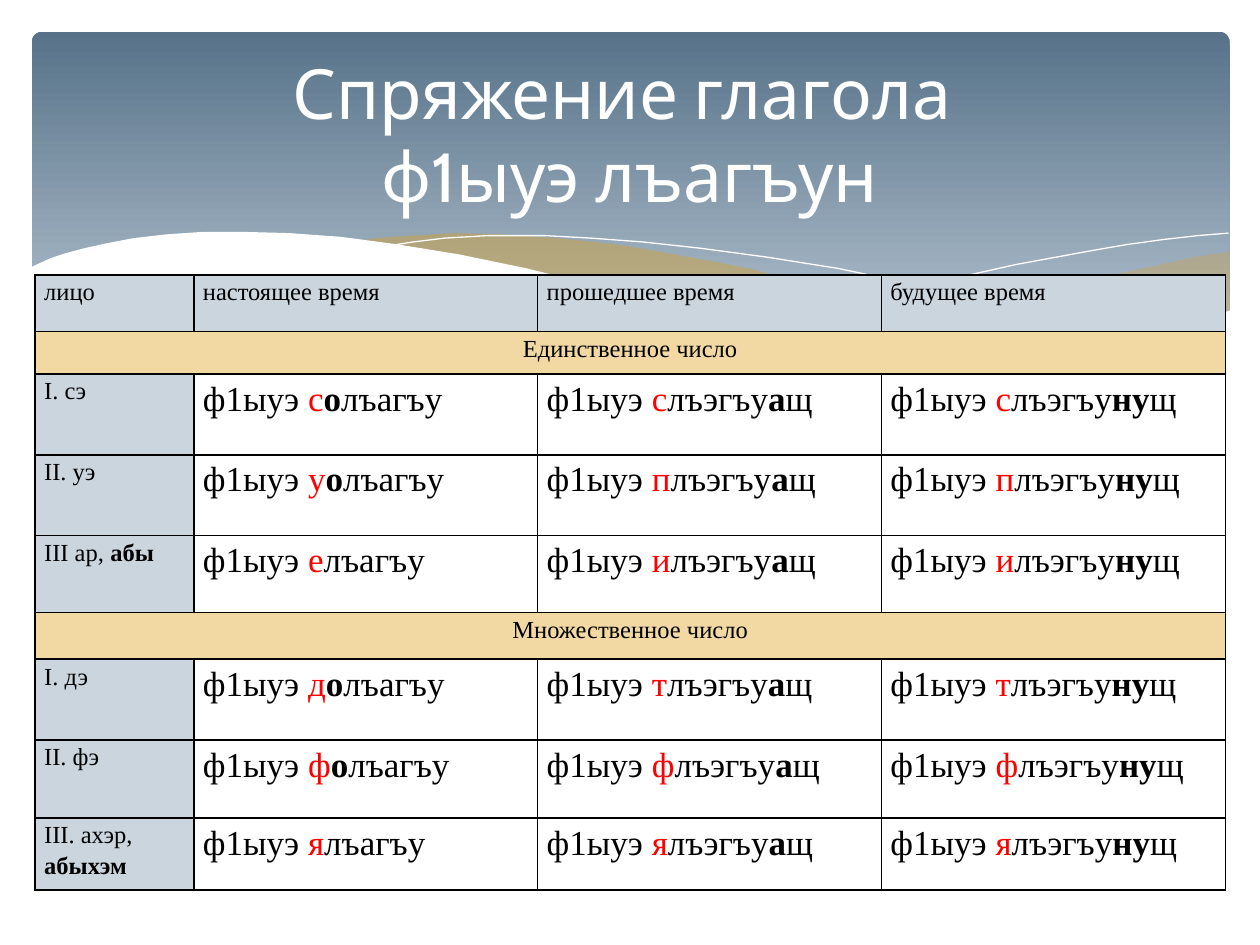
"""Builds a slide with the conjugation table of a Kabardian verb."""
from lxml import etree
from pptx import Presentation, util as u
from pptx.dml.color import RGBColor
from pptx.enum import shapes, text
from pptx.oxml.ns import qn

BLACK = RGBColor(0, 0, 0)
WHITE = RGBColor(255, 255, 255)
RED = RGBColor(255, 0, 0)
GOLD = RGBColor(0xDC, 0x9E, 0x1F)
SAND = RGBColor(0xF2, 0xD9, 0xA4)
MIST = RGBColor(0xCB, 0xD5, 0xDE)
DARK = RGBColor(0x57, 0x72, 0x89)
PALE = RGBColor(0xB2, 0xC1, 0xCE)

TITLE = "Спряжение глагола \vф1ыуэ лъагъун"
HEADS = ["лицо", "настоящее время", "прошедшее время", "будущее время"]
VERB = "ф1ыуэ "
GROUPS = [
    ("Единственное число", [
        ("I. сэ", "", "с", "о", "с"),
        ("II. уэ", "", "у", "о", "п"),
        ("III ар, ", "абы", "е", "", "и"),
    ]),
    ("Множественное число", [
        ("I. дэ", "", "д", "о", "т"),
        ("II. фэ", "", "ф", "о", "ф"),
        ("III. ахэр,\n", "абыхэм", "я", "", "я"),
    ]),
]
COLS = [3.2, 6.93, 6.93, 6.93]
ROWS = [1.14, 0.86, 1.63, 1.63, 1.55, 0.94, 1.63, 1.57, 1.45]

GRID = u.Cm(0.0254)
WAVES = [
    {"fill": GOLD, "alpha": 29, "pts": [
        (975, 200), (948, 204), (921, 210), (861, 223), (805, 237), (753, 248),
        (706, 257), (661, 265), (691, 269), (732, 274), (769, 277), (803, 278),
        (835, 277), (863, 275), (889, 272), (913, 267), (935, 262), (949, 257),
        (963, 252), (976, 247), (976, 200)]},
    {"fill": GOLD, "alpha": 40, "pts": [
        (893, 273), (866, 269), (807, 260), (741, 247), (668, 231), (629, 222),
        (598, 214), (569, 208), (541, 203), (514, 198), (489, 194), (442, 189),
        (399, 186), (361, 185), (328, 187), (299, 189), (286, 191), (323, 196),
        (362, 203), (404, 211), (449, 222), (530, 240), (601, 255), (665, 266),
        (722, 274), (773, 277), (818, 278), (857, 277), (893, 273)]},
    {"line": WHITE, "pts": [
        (309, 195), (328, 192), (353, 189), (387, 187), (433, 187), (469, 189),
        (510, 192), (556, 197), (608, 204), (665, 213), (727, 226), (795, 241),
        (869, 261), (907, 272)]},
    {"line": WHITE, "pts": [
        (613, 257), (653, 246), (695, 235), (748, 223), (806, 210), (866, 199),
        (895, 194), (924, 190), (951, 187), (975, 185)]},
    {"fill": WHITE, "pts": [
        (977, 246), (950, 256), (920, 265), (887, 271), (850, 275), (809, 277),
        (761, 275), (708, 270), (648, 262), (579, 250), (529, 239), (475, 227),
        (418, 213), (365, 202), (316, 194), (271, 188), (230, 185), (193, 184),
        (161, 184), (132, 186), (106, 189), (85, 193), (67, 197), (52, 201),
        (40, 205), (29, 210), (23, 213), (23, 329), (977, 329)]},
]


def put(item, **vals):
    for key, val in vals.items():
        setattr(item, key, val)


def paint(fill, tone=None):
    if tone is None:
        fill.background()
    else:
        fill.solid()
        fill.fore_color.rgb = tone


def banner(slide):
    box = slide.shapes.add_shape(shapes.MSO_SHAPE.ROUNDED_RECTANGLE,
                                 u.Cm(0.64), u.Cm(0.64), u.Cm(24.15), u.Cm(6.86))
    box.adjustments[0] = 0.03
    box.shadow.inherit = False
    box.line.fill.background()
    box.fill.gradient()
    box.fill.gradient_angle = 270
    for stop, tone, place in zip(box.fill.gradient_stops, (DARK, PALE), (0, 0.9)):
        stop.color.rgb = tone
        stop.position = place


def wave(slide, form):
    first, *rest = form["pts"]
    path = slide.shapes.build_freeform(*first, scale=GRID)
    path.add_line_segments(rest, close="fill" in form)
    shape = path.convert_to_shape()
    shape.shadow.inherit = False
    paint(shape.fill, form.get("fill"))
    paint(shape.line.fill, form.get("line"))
    if "line" in form:
        shape.line.width = 0
    if "alpha" in form:
        tone = shape.element.spPr.find(".//" + qn("a:srgbClr"))
        etree.SubElement(tone, qn("a:alpha"), val=str(form["alpha"] * 1000))


def border(cell):
    props = cell._tc.get_or_add_tcPr()
    for side in ("lnL", "lnR", "lnT", "lnB"):
        edge = etree.SubElement(props, qn("a:" + side), w=str(u.Pt(1)))
        fill = etree.SubElement(edge, qn("a:solidFill"))
        etree.SubElement(fill, qn("a:srgbClr"), val=str(BLACK))


def write(cell, runs, size=14, tone=None, align=text.PP_ALIGN.JUSTIFY):
    paint(cell.fill, tone)
    frame = cell.text_frame
    para = frame.paragraphs[0]
    put(para, alignment=align, line_spacing=1.15)
    for words, bold, ink in runs:
        if not words:
            continue
        run = para.add_run()
        run.text = words.rstrip("\n")
        put(run.font, name="Times New Roman", size=u.Pt(size), bold=bold)
        run.font.color.rgb = ink
        if words.endswith("\n"):
            para = frame.add_paragraph()
            put(para, alignment=align, line_spacing=1.15)


def forms(now, vowel, then):
    yield [(VERB, False, BLACK), (now, False, RED),
           (vowel, True, BLACK), ("лъагъу", False, BLACK)]
    for mark in ("а", "ну"):
        yield [(VERB, False, BLACK), (then, False, RED), ("лъэгъу", False, BLACK),
               (mark, True, BLACK), ("щ", False, BLACK)]


def chart(slide):
    grid = slide.shapes.add_table(len(ROWS), len(COLS), u.Cm(0.71), u.Cm(5.54),
                                  u.Cm(sum(COLS)), u.Cm(sum(ROWS))).table
    put(grid, first_row=False, horz_banding=False)
    for col, wide in zip(grid.columns, COLS):
        col.width = u.Cm(wide)
    for row, high in zip(grid.rows, ROWS):
        row.height = u.Cm(high)
    for cell in grid.iter_cells():
        put(cell, margin_left=u.Cm(0.18), margin_right=u.Cm(0.18),
            margin_top=0, margin_bottom=0)
        border(cell)
    for col, head in enumerate(HEADS):
        write(grid.cell(0, col), [(head, False, BLACK)], tone=MIST)
    row = 1
    for name, lines in GROUPS:
        grid.cell(row, 0).merge(grid.cell(row, len(COLS) - 1))
        write(grid.cell(row, 0), [(name, False, BLACK)], tone=SAND,
              align=text.PP_ALIGN.CENTER)
        for row, (plain, strong, *parts) in enumerate(lines, row + 1):
            write(grid.cell(row, 0), [(plain, False, BLACK), (strong, True, BLACK)],
                  tone=MIST)
            for col, runs in enumerate(forms(*parts), 1):
                write(grid.cell(row, col), runs, size=20)
        row += 1


def head(slide):
    title = slide.shapes.title
    put(title, left=u.Cm(1.27), top=u.Cm(0.94), width=u.Cm(22.86), height=u.Cm(3.48))
    frame = title.text_frame
    frame.text = TITLE
    put(frame, word_wrap=True, auto_size=text.MSO_AUTO_SIZE.NONE,
        vertical_anchor=text.MSO_ANCHOR.MIDDLE)
    para = frame.paragraphs[0]
    para.alignment = text.PP_ALIGN.CENTER
    for run in para.runs:
        put(run.font, name="Cabin", size=u.Pt(39.6))
        run.font.color.rgb = WHITE
    title.element.getparent().append(title.element)


def main():
    deck = Presentation()
    put(deck, slide_width=u.Cm(25.4), slide_height=u.Cm(19.05))
    slide = deck.slides.add_slide(deck.slide_layouts[5])
    banner(slide)
    for form in WAVES:
        wave(slide, form)
    chart(slide)
    head(slide)
    deck.save("out.pptx")


if __name__ == "__main__":
    main()
